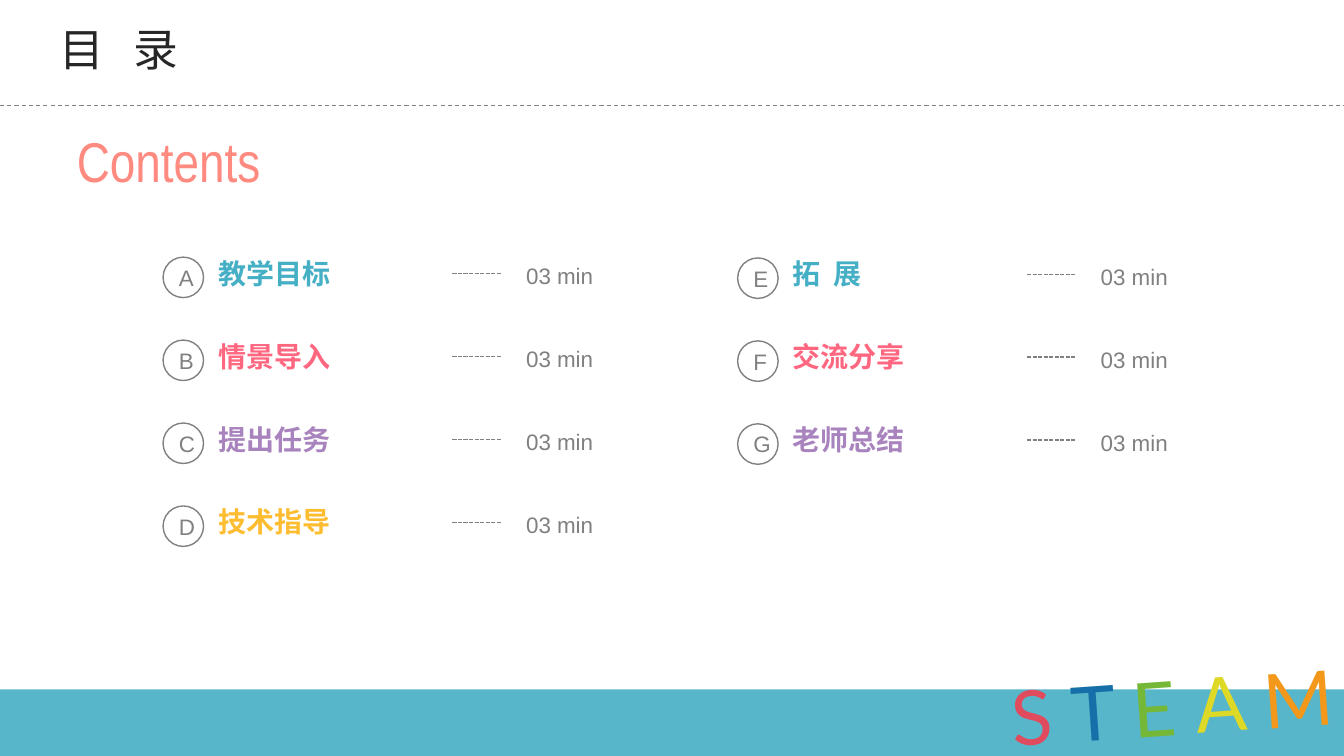
from pptx import Presentation
from pptx.dml.color import RGBColor
from pptx.enum.dml import MSO_LINE
from pptx.enum.shapes import MSO_CONNECTOR, MSO_SHAPE
from pptx.enum.text import MSO_ANCHOR, PP_ALIGN
from pptx.oxml.ns import qn
from pptx.util import Cm, Pt
from lxml import etree

COLORS = {
    "teal": "45AFC5", "pink": "FF6680", "purple": "A883BD", "amber": "FEBC30",
    "gray": "808080", "ink": "262626", "coral": "FF8A80",
    "S": "E14B5E", "T": "156FA8", "E": "75B838", "A": "DED826", "M": "F3981B",
}
ROW_COLORS = ["teal", "pink", "purple", "amber"]
# Column left, column top, topics
COLUMNS = [
    (4.11, 6.48, ["教学目标", "情景导入", "提出任务", "技术指导"]),
    (18.59, 6.5, ["拓 展", "交流分享", "老师总结"]),
]
ROW_PITCH = 2.09
WIDTH, HEIGHT = 33.87, 19.05


def rgb(name):
    return RGBColor.from_string(COLORS[name])


def add_run(p, text, font, size, color, bold=False, gap=0):
    """Add one run; gap is extra space in points after each character."""
    r = p.add_run()
    r.text = text
    r.font.name = font
    r.font.size = Pt(size)
    r.font.bold = bold
    r.font.color.rgb = rgb(color)
    rPr = r.font._element
    if gap:
        rPr.set("spc", str(round(gap * 100)))
    ea = etree.SubElement(rPr, qn("a:ea"))
    ea.set("typeface", font)


def add_spaced_text(p, text, font, size, color, bold=False, gap=0):
    """Add text whose spaces are widened by gap points."""
    for i, word in enumerate(text.split(" ")):
        if i:
            add_run(p, " ", font, size, color, bold, gap)
        add_run(p, word, font, size, color, bold)


def add_text_box(shapes, x, y, w, h, align=PP_ALIGN.LEFT, anchor=MSO_ANCHOR.TOP):
    """Add an empty text box and return it with its first paragraph."""
    s = shapes.add_textbox(Cm(x), Cm(y), Cm(w), Cm(h))
    tf = s.text_frame
    tf.word_wrap = True
    tf.vertical_anchor = anchor
    p = tf.paragraphs[0]
    p.alignment = align
    return s, p


def add_dashed_line(shapes, x, y, length, weight, dash):
    s = shapes.add_connector(MSO_CONNECTOR.STRAIGHT, Cm(x), Cm(y), Cm(x + length), Cm(y))
    s.line.color.rgb = rgb("gray")
    s.line.width = Pt(weight)
    s.line.dash_style = dash
    etree.SubElement(s._element.spPr, qn("a:effectLst"))


def add_badge(shapes, x, y, letter):
    s = shapes.add_shape(MSO_SHAPE.OVAL, Cm(x), Cm(y), Cm(1.02), Cm(1.02))
    s.shadow.inherit = False
    s.fill.background()
    s.line.color.rgb = rgb("gray")
    s.line.width = Pt(1)
    tf = s.text_frame
    tf.word_wrap = True
    tf.vertical_anchor = MSO_ANCHOR.MIDDLE
    p = tf.paragraphs[0]
    p.alignment = PP_ALIGN.CENTER
    add_run(p, letter, "Arial", 16, "gray")


def add_agenda_item(slide, x, y, letter, topic, color):
    shapes = slide.shapes.add_group_shape().shapes
    add_badge(shapes, x, y, letter)
    _, p = add_text_box(shapes, x + 1.14, y - 0.15, 6.15, 1.12)
    add_spaced_text(p, topic, "Noto Sans CJK KR", 20, color, bold=True, gap=4.5)
    add_dashed_line(shapes, x + 7.29, y + 0.41, 1.22, 1, MSO_LINE.SQUARE_DOT)
    _, p = add_text_box(shapes, x + 8.79, y, 2.41, 0.94, PP_ALIGN.CENTER)
    add_run(p, "03 min", "Arial", 16, "gray")


def add_footer(slide):
    band = slide.shapes.add_shape(MSO_SHAPE.RECTANGLE, 0, Cm(17.37), Cm(WIDTH), Cm(HEIGHT - 17.37))
    band.shadow.inherit = False
    band.line.fill.background()
    band.fill.solid()
    band.fill.fore_color.rgb = rgb("teal")
    alpha = etree.SubElement(band._element.spPr.find(".//" + qn("a:srgbClr")), qn("a:alpha"))
    alpha.set("val", "90000")

    s, p = add_text_box(slide.shapes, 25.22, 16.46, 9.96, 2.57)
    s.rotation = 356
    for letter in "STEAM":
        add_run(p, letter if letter == "M" else letter + " ", "Lato", 54, letter)


def add_headings(slide):
    add_dashed_line(slide.shapes, 0, 2.67, WIDTH, 0.75, MSO_LINE.DASH)
    _, p = add_text_box(slide.shapes, 0.25, 2.82, 8, 2.41, PP_ALIGN.CENTER, MSO_ANCHOR.MIDDLE)
    add_run(p, "Contents", "Arial Narrow", 40, "coral")
    _, p = add_text_box(slide.shapes, 1.24, 0.48, 25.63, 1.65, anchor=MSO_ANCHOR.MIDDLE)
    p.line_spacing = 0.9
    add_spaced_text(p, "目 录", "Noto Sans CJK SC", 32, "ink", gap=14.3)


def main():
    prs = Presentation()
    prs.slide_width, prs.slide_height = Cm(WIDTH), Cm(HEIGHT)
    slide = prs.slides.add_slide(prs.slide_layouts[6])
    add_footer(slide)
    add_headings(slide)
    letters = iter("ABCDEFG")
    for x, top, topics in COLUMNS:
        for row, (topic, color) in enumerate(zip(topics, ROW_COLORS)):
            add_agenda_item(slide, x, top + row * ROW_PITCH, next(letters), topic, color)
    prs.save("out.pptx")


if __name__ == "__main__":
    main()
